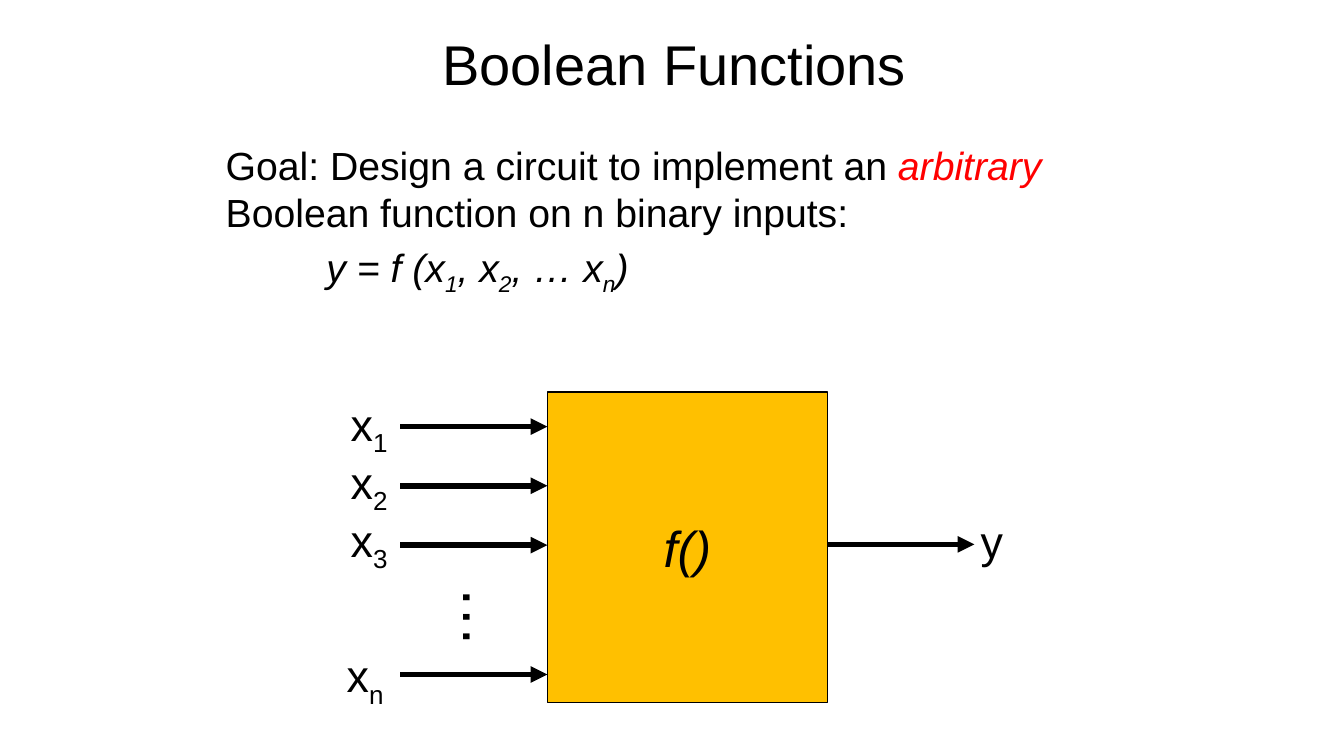
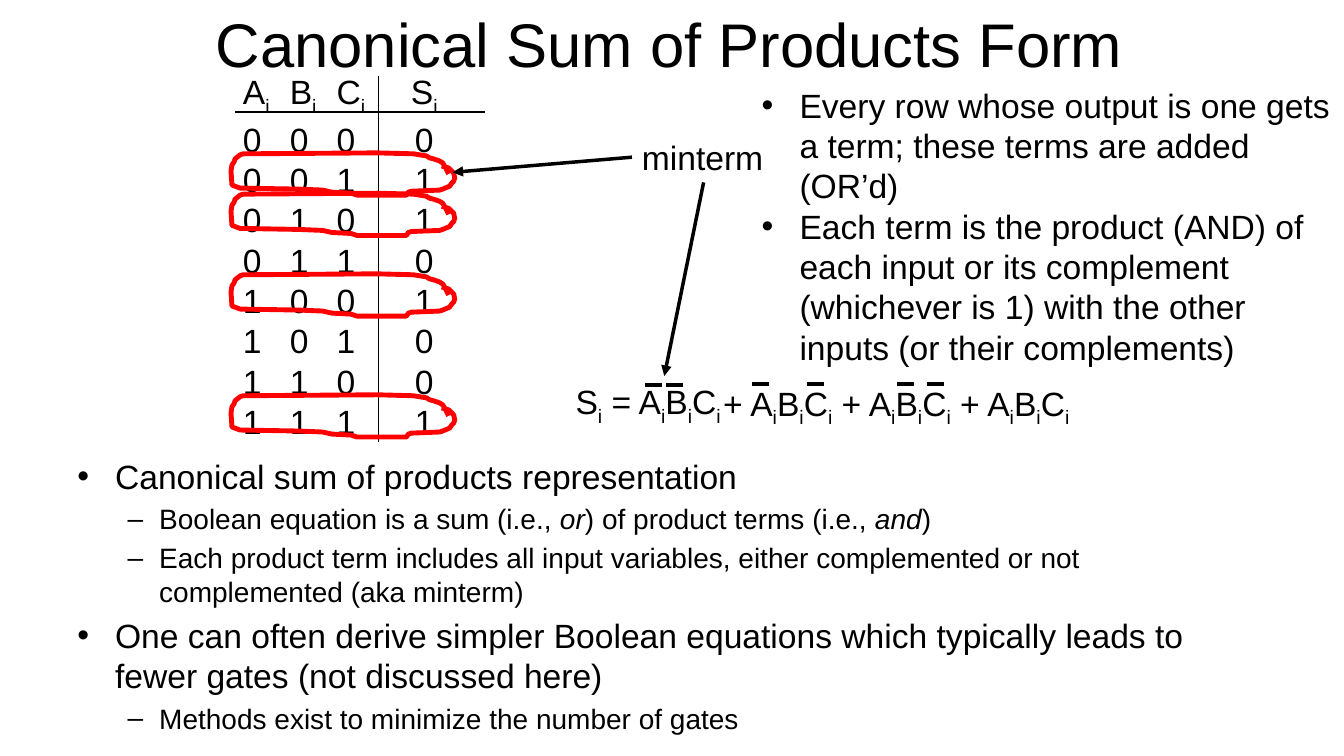
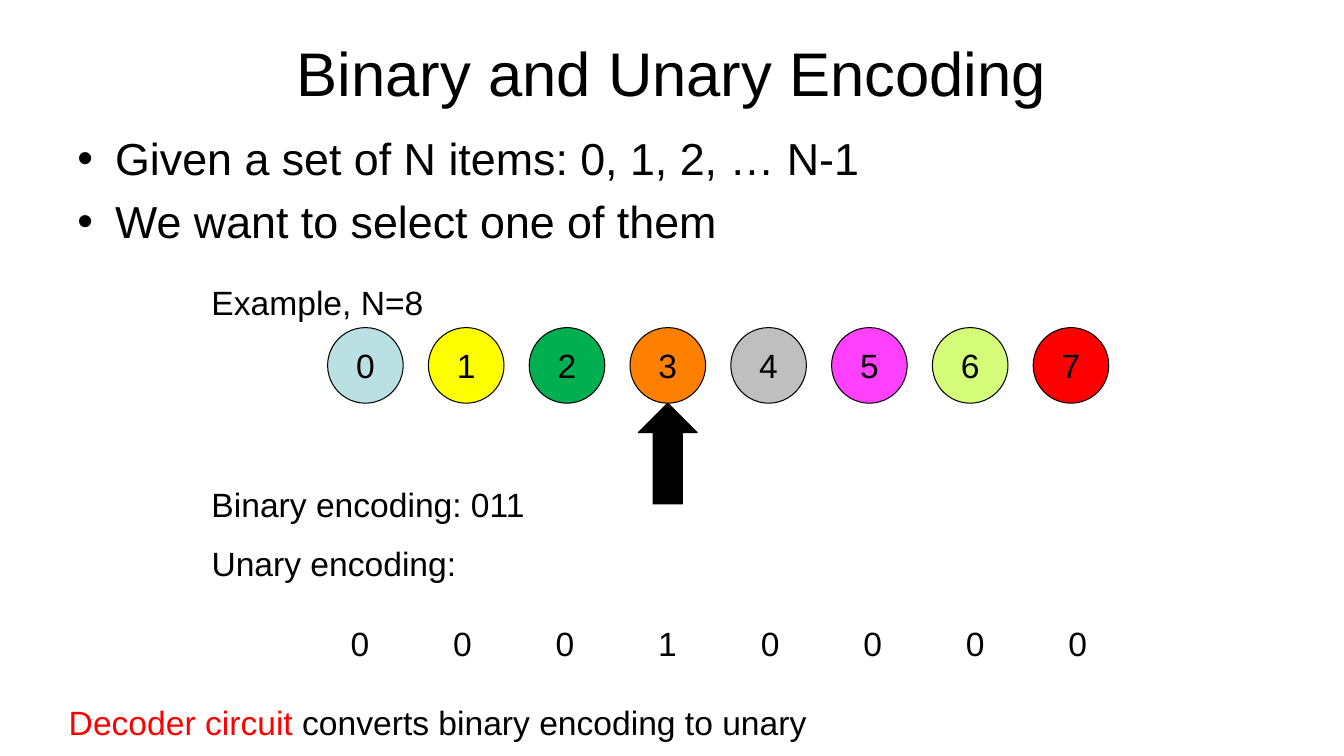
import dataclasses

import lxml.etree
import pptx
import pptx.dml.color
import pptx.enum.shapes
import pptx.enum.text
import pptx.oxml.ns
import pptx.util

Pt = pptx.util.Pt
RGB = pptx.dml.color.RGBColor.from_string
SHAPE = pptx.enum.shapes.MSO_SHAPE
CENTER = pptx.enum.text.PP_ALIGN.CENTER
MIDDLE = pptx.enum.text.MSO_ANCHOR.MIDDLE


@dataclasses.dataclass(frozen=True)
class Theme:
    font: str = "Arial"
    ink: str = "000000"
    accent: str = "FF0000"
    box: str = "FFC000"
    title: int = 44
    title_small: int = 40
    dots: int = 44
    function: int = 36
    large: int = 32
    goal: int = 28
    text: int = 24
    detail: int = 20
    thin: float = 0.75
    pointer: float = 2.5
    bar: float = 3
    pen: float = 3.5
    wire: float = 4


THEME = Theme()

# Inline marks: _subscript_, *italic*, ~accent colour~
GOAL = "Goal: Design a circuit to implement an ~*arbitrary*~ Boolean function on n binary inputs:"
FORMULA = "*y = f (x_1_, x_2_, … x_n_)*"
INPUTS = [("x_1_", 243.4, 280, 304.7), ("x_2_", 243.4, 321.2, 347),
          ("x_3_", 243.4, 362.8, 389.4), ("x_n_", 240.5, 459.4, 481.8)]

TRUTH_TABLE = [("A_i_", "B_i_", "C_i_", "S_i_")] + [
    tuple(row) for row in ("0000", "0011", "0101", "0110", "1001", "1010", "1100", "1111")]
EQUATION = [("S_i_ = A_i_B_i_C_i_", 404, 268.6, 135),
            ("+ A_i_B_i_C_i_ + A_i_B_i_C_i_ + A_i_B_i_C_i_", 509.5, 270, 290)]
COMPLEMENT_BARS = [(460.8, 275), (476, 275), (537, 274.3), (576.7, 274.3), (640.8, 274.3), (662.2, 274.3)]
MINTERM_RULES = [
    "Every row whose output is one gets a term; these terms are added (OR’d)",
    "Each term is the product (AND) of each input or its complement (whichever is 1) "
    "with the other inputs (or their complements)",
]
CANONICAL_POINTS = [
    (0, "Canonical sum of products representation"),
    (1, "Boolean equation is a sum (i.e., *or*) of product terms (i.e., *and*)"),
    (1, "Each product term includes all input variables, either complemented or not "
        "complemented (aka minterm)"),
    (0, "One can often derive simpler Boolean equations which typically leads to fewer gates "
        "(not discussed here)"),
    (1, "Methods exist to minimize the number of gates"),
]
PEN_LOOP = [
    (155.5, 15.1), (152.6, 9.4), (151.2, 7.2), (149, 5.8), (144.7, 4.3), (141.8, 3.6),
    (139.7, 2.2), (130.3, 0.7), (104.4, 0), (8.6, 0.7), (6.5, 1.4), (2.9, 4.3), (2.2, 6.5),
    (0.7, 8.6), (0, 13), (0.7, 23), (6.5, 25.2), (48.2, 25.9), (65.5, 26.6), (72, 28.1),
    (85.7, 28.8), (90, 30.2), (125.3, 30.2), (126.7, 28.1), (128.9, 27.4), (149, 26.6),
    (151.2, 25.9), (156.2, 23.8), (157.7, 21.6), (159.1, 20.2), (159.8, 18), (159.1, 14.4),
    (155.5, 10.8), (150.5, 9.4),
]

SELECTION_POINTS = [(0, "Given a set of N items: 0, 1, 2, … N-1"), (0, "We want to select one of them")]
ITEM_COLOURS = ["BBE0E3", "FFFF00", "00B050", "FF8000", "BFBFBF", "FF40FF", "D5FC79", "FF0000"]
SELECTED = 3


def add_xml(parent, tag, **attrs):
    return lxml.etree.SubElement(parent, pptx.oxml.ns.qn(tag), attrs)


def write(p, text, size, align=None):
    """Fill a paragraph, turning inline marks into run formatting."""
    p.font.name, p.font.size = THEME.font, Pt(size)
    p.font.color.rgb = RGB(THEME.ink)
    if align is not None:
        p.alignment = align
    active, pending = set(), ""

    def flush():
        if not pending:
            return
        r = p.add_run()
        r.text = pending
        if "*" in active:
            r.font.italic = True
        if "~" in active:
            r.font.color.rgb = RGB(THEME.accent)
        if "_" in active:
            r.font._element.set("baseline", "-25000")

    for ch in text:
        if ch in "_*~":
            flush()
            active ^= {ch}
            pending = ""
        else:
            pending += ch
    flush()


def paragraphs(tf, count):
    return [tf.paragraphs[0]] + [tf.add_paragraph() for _ in range(count - 1)]


def set_indent(p, left, hang=0, bullet=None):
    pPr = p._p.get_or_add_pPr()
    pPr.set("marL", str(Pt(left)))
    pPr.set("indent", str(-Pt(hang)))
    if bullet:
        add_xml(pPr, "a:buFont", typeface=THEME.font)
        add_xml(pPr, "a:buChar", char=bullet)
    else:
        add_xml(pPr, "a:buNone")


def place(sp, box):
    sp.left, sp.top, sp.width, sp.height = map(Pt, box)


def new_slide(prs, title, title_box, body_box, size=THEME.title):
    """Add a slide and return it with its body text frame."""
    slide = prs.slides.add_slide(prs.slide_layouts[1])
    for sp, box in zip(slide.placeholders, (title_box, body_box)):
        place(sp, box)
        sp.text_frame.auto_size = pptx.enum.text.MSO_AUTO_SIZE.NONE
    write(slide.shapes.title.text_frame.paragraphs[0], title, size, CENTER)
    return slide, slide.placeholders[1].text_frame


def write_list(tf, points, sizes):
    for p, (level, text) in zip(paragraphs(tf, len(points)), points):
        p.level = level
        write(p, text, sizes[level])


def add_text(slide, box, text=None, size=THEME.text):
    tf = slide.shapes.add_textbox(*map(Pt, box)).text_frame
    tf.word_wrap = True
    if text:
        write(tf.paragraphs[0], text, size)
    return tf


def add_shape(slide, kind, box, fill, text=None, size=THEME.text):
    sp = slide.shapes.add_shape(kind, *map(Pt, box))
    sp.shadow.inherit = False
    sp.fill.solid()
    sp.fill.fore_color.rgb = RGB(fill)
    sp.line.color.rgb = RGB(THEME.ink)
    sp.line.width = Pt(THEME.thin)
    if text:
        sp.text_frame.vertical_anchor = MIDDLE
        write(sp.text_frame.paragraphs[0], text, size, CENTER)


def add_line(slide, start, end, width, arrow=False):
    line = slide.shapes.add_connector(
        pptx.enum.shapes.MSO_CONNECTOR.STRAIGHT, *map(Pt, (*start, *end)))
    line.line.color.rgb = RGB(THEME.ink)
    line.line.width = Pt(width)
    if arrow:
        add_xml(line.line._get_or_add_ln(), "a:tailEnd", type="triangle")
    add_xml(line._element.spPr, "a:effectLst")


def add_pen_loop(slide, left, top):
    points = [(Pt(x), Pt(y)) for x, y in PEN_LOOP]
    builder = slide.shapes.build_freeform(*points[0])
    builder.add_line_segments(points[1:], close=False)
    sp = builder.convert_to_shape(Pt(left), Pt(top))
    sp.shadow.inherit = False
    sp.fill.background()
    sp.line.color.rgb = RGB(THEME.accent)
    sp.line.width = Pt(THEME.pen)


def add_truth_table(slide):
    left, top, header, row_height = 168, 53, 34, 28.8
    widths = (33.5, 33.5, 35.7, 75.9)
    heights = [header] + [row_height] * (len(TRUTH_TABLE) - 1)
    table = slide.shapes.add_table(
        len(TRUTH_TABLE), len(widths), Pt(left), Pt(top), Pt(sum(widths)), Pt(sum(heights))).table
    table.first_row = table.horz_banding = False
    for column, width in zip(table.columns, widths):
        column.width = Pt(width)
    for row, height, values in zip(table.rows, heights, TRUTH_TABLE):
        row.height = Pt(height)
        for c, (cell, value) in enumerate(zip(row.cells, values)):
            output = c == len(widths) - 1
            cell.fill.background()
            cell.margin_top = cell.margin_bottom = 0
            cell.margin_left = 0 if output else Pt(5.5)
            cell.margin_right = Pt(11) if output else 0
            write(cell.text_frame.paragraphs[0], value, THEME.text, CENTER if output else None)
    divider = left + sum(widths[:3])
    add_line(slide, (left, 80), (left + sum(widths), 80), THEME.thin)
    add_line(slide, (divider, 54), (divider, 315.4), THEME.thin)
    for i, values in enumerate(TRUTH_TABLE[1:]):
        if values[-1] == "1":
            add_pen_loop(slide, 165, top + header + i * row_height - 6.6)


def boolean_functions(prs):
    slide, tf = new_slide(prs, "Boolean Functions", (127.4, 0, 708, 90),
                          (154, 97.2, 672, 100), THEME.title_small)
    for p, text, indent in zip(paragraphs(tf, 2), (GOAL, FORMULA), (0, 72)):
        set_indent(p, indent)
        write(p, text, THEME.goal)

    box_left, box_width, wire = 391, 200, 105
    add_shape(slide, SHAPE.RECTANGLE, (box_left, 280, box_width, 221.8), THEME.box,
              "*f()*", THEME.function)
    for name, left, top, y in INPUTS:
        add_text(slide, (left, top, 60, 46), name, THEME.large)
        add_line(slide, (box_left - wire, y), (box_left, y), THEME.wire, arrow=True)
    add_text(slide, (693.4, 363.6, 60, 46), "y", THEME.large)
    box_right = box_left + box_width
    add_line(slide, (box_right, 388.8), (box_right + wire, 388.8), THEME.wire, arrow=True)

    dots = add_text(slide, (311, 411.8, 67.7, 52), "…", THEME.dots)
    dots.word_wrap = False
    dots._txBody.bodyPr.set("vert", "vert")


def canonical_sum(prs):
    slide, tf = new_slide(prs, "Canonical Sum of Products Form", (145.4, 0, 666, 61.2),
                          (48, 322, 864, 218))
    write_list(tf, CANONICAL_POINTS, (THEME.text, THEME.detail))
    add_truth_table(slide)
    for text, left, top, width in EQUATION:
        add_text(slide, (left, top, width, 36), text)
    for x, y in COMPLEMENT_BARS:
        add_line(slide, (x, y), (x + 12, y), THEME.bar)
    add_text(slide, (451.4, 94.5, 110, 36), "minterm")
    add_line(slide, (451.4, 112.3), (323.3, 123.1), THEME.pointer, arrow=True)
    add_line(slide, (502.6, 130.3), (474.5, 268.6), THEME.pointer, arrow=True)
    rules = add_text(slide, (537, 57, 423, 211))
    for p, text in zip(paragraphs(rules, len(MINTERM_RULES)), MINTERM_RULES):
        set_indent(p, 27, 27, "•")
        write(p, text, THEME.text)


def encodings(prs):
    slide, tf = new_slide(prs, "Binary and Unary Encoding", (174, 6, 612, 90), (48, 90, 864, 108))
    write_list(tf, SELECTION_POINTS, (THEME.large,))

    first, pitch, size, top = 234, 72, 54, 234
    for i, colour in enumerate(ITEM_COLOURS):
        add_shape(slide, SHAPE.OVAL, (first + i * pitch, top, size, size), colour, str(i))
    arrow_width = 42
    arrow_left = first + SELECTED * pitch + (size - arrow_width) / 2
    add_shape(slide, SHAPE.UP_ARROW, (arrow_left, top + size, arrow_width, 72), THEME.ink)

    count = len(ITEM_COLOURS)
    add_text(slide, (144, 198, 180, 36), f"Example, N={count}")
    add_text(slide, (144, 342, 260, 36), f"Binary encoding: {SELECTED:03b}")
    unary = add_text(slide, (144, 384, 660, 94))
    label, digits = paragraphs(unary, 2)
    write(label, "Unary encoding:", THEME.text)
    digits.space_before = Pt(28.8)
    tabs = add_xml(digits._p.get_or_add_pPr(), "a:tabLst")
    for i in range(count):
        add_xml(tabs, "a:tab", pos=str(Pt(106 + i * 73.25)), algn="ctr")
    write(digits, "".join(f"\t{int(i == SELECTED)}" for i in range(count)), THEME.text)
    add_text(slide, (42, 498, 580, 36), "~Decoder circuit ~converts binary encoding to unary")


def main():
    prs = pptx.Presentation()
    prs.slide_width, prs.slide_height = Pt(960), Pt(540)
    for build in (boolean_functions, canonical_sum, encodings):
        build(prs)
    prs.save("out.pptx")


if __name__ == "__main__":
    main()
